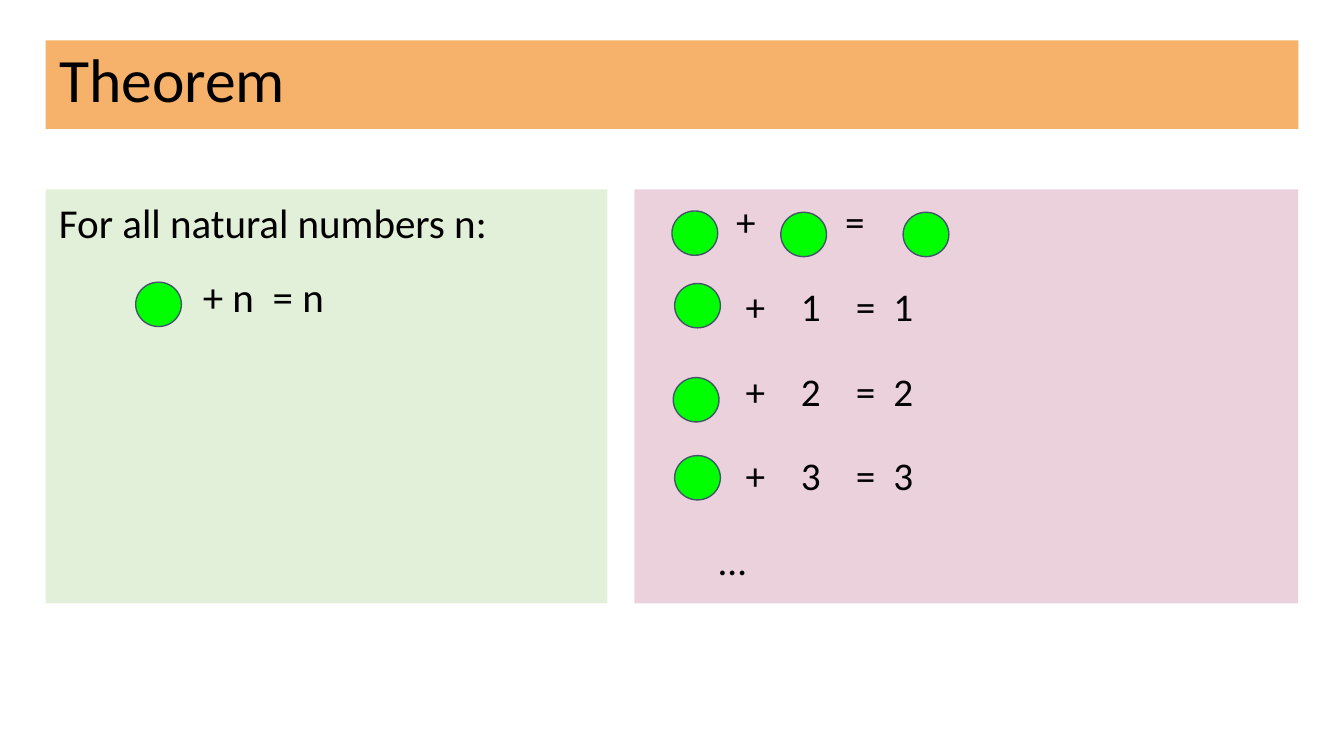
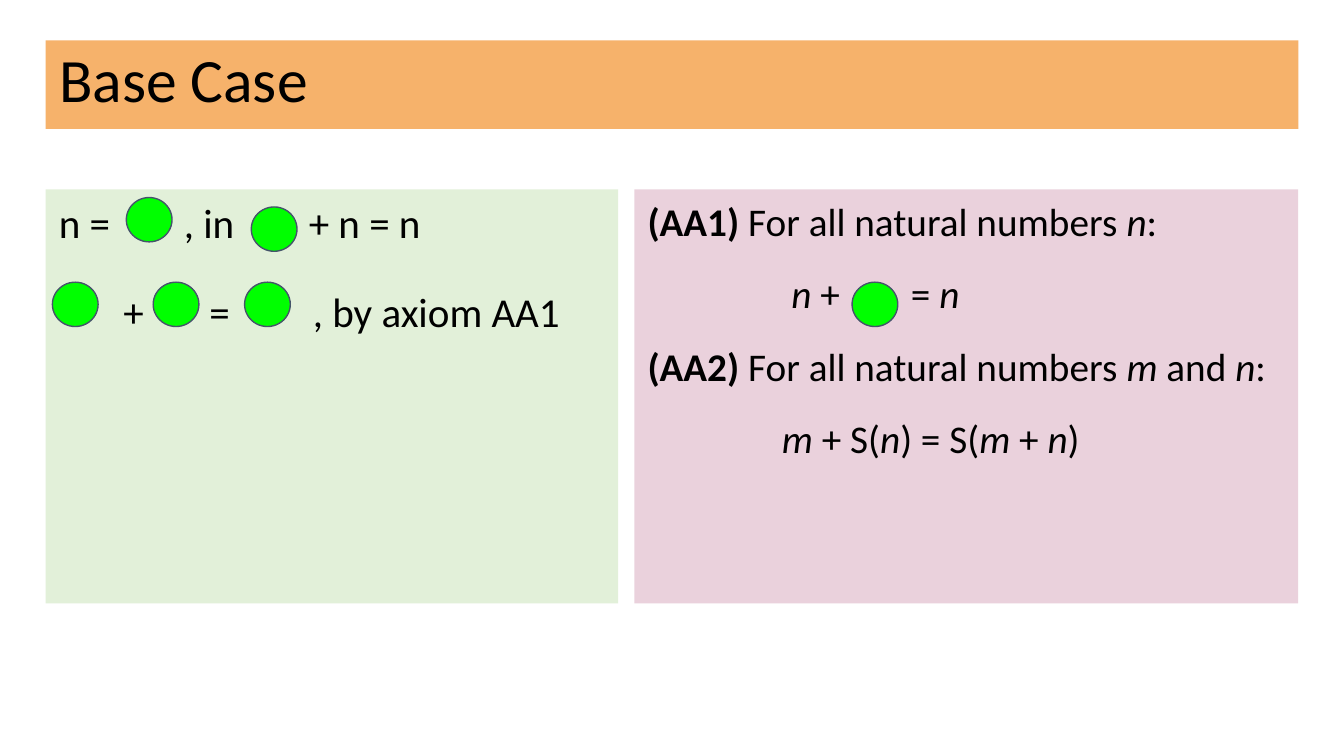
from lxml import etree
from pptx import Presentation
from pptx import util as u
from pptx.dml.color import RGBColor
from pptx.enum import shapes, text
from pptx.oxml.ns import qn

WIDTH = 10
HEIGHT = WIDTH * 9 / 16
FONT = "Calibri"
BLACK = RGBColor(0x00, 0x00, 0x00)
ORANGE = RGBColor(0xF6, 0xB2, 0x6B)
PALE_GREEN = RGBColor(0xE2, 0xF0, 0xD9)
PALE_PINK = RGBColor(0xEA, 0xD1, 0xDC)
ZERO_GREEN = RGBColor(0x00, 0xFF, 0x00)
SLATE = RGBColor(0x44, 0x54, 0x6A)

MARGIN, INSET = 0.34, 0.1
TITLE_TOP, TITLE_HEIGHT, TITLE_SIZE = 0.3, 0.66, 33
PANEL_TOP, PANEL_HEIGHT = 1.41, 3.08
RIGHT_LEFT = 4.72
RIGHT_WIDTH = WIDTH - MARGIN - RIGHT_LEFT
LEFT_SIZE, RIGHT_SIZE = 22, 21
ZERO_WIDTH, ZERO_HEIGHT = 0.34, 0.33

# A line is (spans, tab stops in inches); a span is (text, style), style "b", "i" or "".
SUM_STOPS = (0.73, 1.14, 1.55, 1.83)
SLIDES = [
    {
        "title": "Theorem",
        "left_width": 4.18,
        "left_gap": 16,
        "left": [
            ([("For all natural numbers n:", "")], ()),
            ([("\t+ n\t= n", "")], (1.07, 1.59)),
        ],
        "right_gap": 22.7,
        "right": [
            ([("\t+\t=", "")], (0.66, 1.47)),
            *[([(f"\t+\t{n}\t=\t{n}", "")], SUM_STOPS) for n in (1, 2, 3)],
            ([("\t…", "")], (0.53,)),
        ],
        "zeros": [(1.01, 2.1), (5, 1.57), (5.81, 1.58), (6.72, 1.58),
                  (5.02, 2.11), (5.01, 2.81), (5.02, 3.39)],
    },
    {
        "title": "Base Case",
        "left_width": 4.26,
        "left_gap": 24,
        "left": [
            ([("n =\t, in\t+ n = n", "")], (0.93, 1.86)),
            ([("\t+\t=\t, by axiom AA1", "")], (0.48, 1.12, 1.89)),
        ],
        "right_gap": 16,
        "right": [
            ([("(AA1)", "b"), (" For all natural numbers ", ""),
              ("n", "i"), (":", "")], ()),
            ([("\t", ""), ("n", "i"), (" +\t= ", ""), ("n", "i")], (1.07, 1.96)),
            ([("(AA2)", "b"), (" For all natural numbers ", ""),
              ("m", "i"), (" and ", ""), ("n", "i"), (":", "")], ()),
            ([("\t", ""), ("m", "i"), (" + S(", ""), ("n", "i"), (") = S(", ""),
              ("m", "i"), (" + ", ""), ("n", "i"), (")", "")], (1,)),
        ],
        "zeros": [(0.39, 2.1), (0.94, 1.47), (1.14, 2.1), (1.82, 2.1),
                  (6.34, 2.1), (1.87, 1.54)],
    },
]


def apply(target, **values):
    for name, value in values.items():
        setattr(target, name, value)


def add_tab_stops(para, stops):
    if stops:
        tab_list = etree.SubElement(para._p.get_or_add_pPr(), qn("a:tabLst"))
        for stop in stops:
            etree.SubElement(tab_list, qn("a:tab"), pos=str(u.Inches(stop)), algn="l")


def write_lines(box, lines, size, gap, anchor):
    frame = box.text_frame
    inset = u.Inches(INSET)
    apply(frame, word_wrap=True, auto_size=text.MSO_AUTO_SIZE.NONE,
          vertical_anchor=anchor, margin_left=inset, margin_right=inset,
          margin_top=inset, margin_bottom=inset)
    for index, (spans, stops) in enumerate(lines):
        para = frame.add_paragraph() if index else frame.paragraphs[0]
        add_tab_stops(para, stops)
        apply(para, alignment=text.PP_ALIGN.LEFT, line_spacing=0.9,
              space_before=u.Pt(gap if index else 0))
        for words, style in spans:
            span = para.add_run()
            span.text = words
            apply(span.font, name=FONT, size=u.Pt(size),
                  bold=style == "b", italic=style == "i")
            span.font.color.rgb = BLACK


def fill_box(box, color):
    box.fill.solid()
    box.fill.fore_color.rgb = color


def add_title(page, title):
    box = page.shapes.title
    apply(box, left=u.Inches(MARGIN), top=u.Inches(TITLE_TOP),
          width=u.Inches(WIDTH - 2 * MARGIN), height=u.Inches(TITLE_HEIGHT))
    fill_box(box, ORANGE)
    write_lines(box, [([(title, "")], ())], TITLE_SIZE, 0, text.MSO_ANCHOR.BOTTOM)


def add_panel(page, left, width, color, lines, size, gap):
    box = page.shapes.add_textbox(*map(u.Inches, (left, PANEL_TOP, width, PANEL_HEIGHT)))
    fill_box(box, color)
    write_lines(box, lines, size, gap, text.MSO_ANCHOR.TOP)


def add_zero(page, left, top):
    """Draw the green disc that stands for zero."""
    disc = page.shapes.add_shape(shapes.MSO_SHAPE.OVAL, *map(
        u.Inches, (left, top, ZERO_WIDTH, ZERO_HEIGHT)))
    disc.shadow.inherit = False
    fill_box(disc, ZERO_GREEN)
    disc.line.color.rgb = SLATE
    disc.line.width = u.Pt(0.75)


def main():
    deck = Presentation()
    apply(deck, slide_width=u.Inches(WIDTH), slide_height=u.Inches(HEIGHT))
    for content in SLIDES:
        page = deck.slides.add_slide(deck.slide_layouts[5])
        add_title(page, content["title"])
        add_panel(page, MARGIN, content["left_width"], PALE_GREEN,
                  content["left"], LEFT_SIZE, content["left_gap"])
        add_panel(page, RIGHT_LEFT, RIGHT_WIDTH, PALE_PINK,
                  content["right"], RIGHT_SIZE, content["right_gap"])
        for left, top in content["zeros"]:
            add_zero(page, left, top)
    deck.save("out.pptx")


if __name__ == "__main__":
    main()
